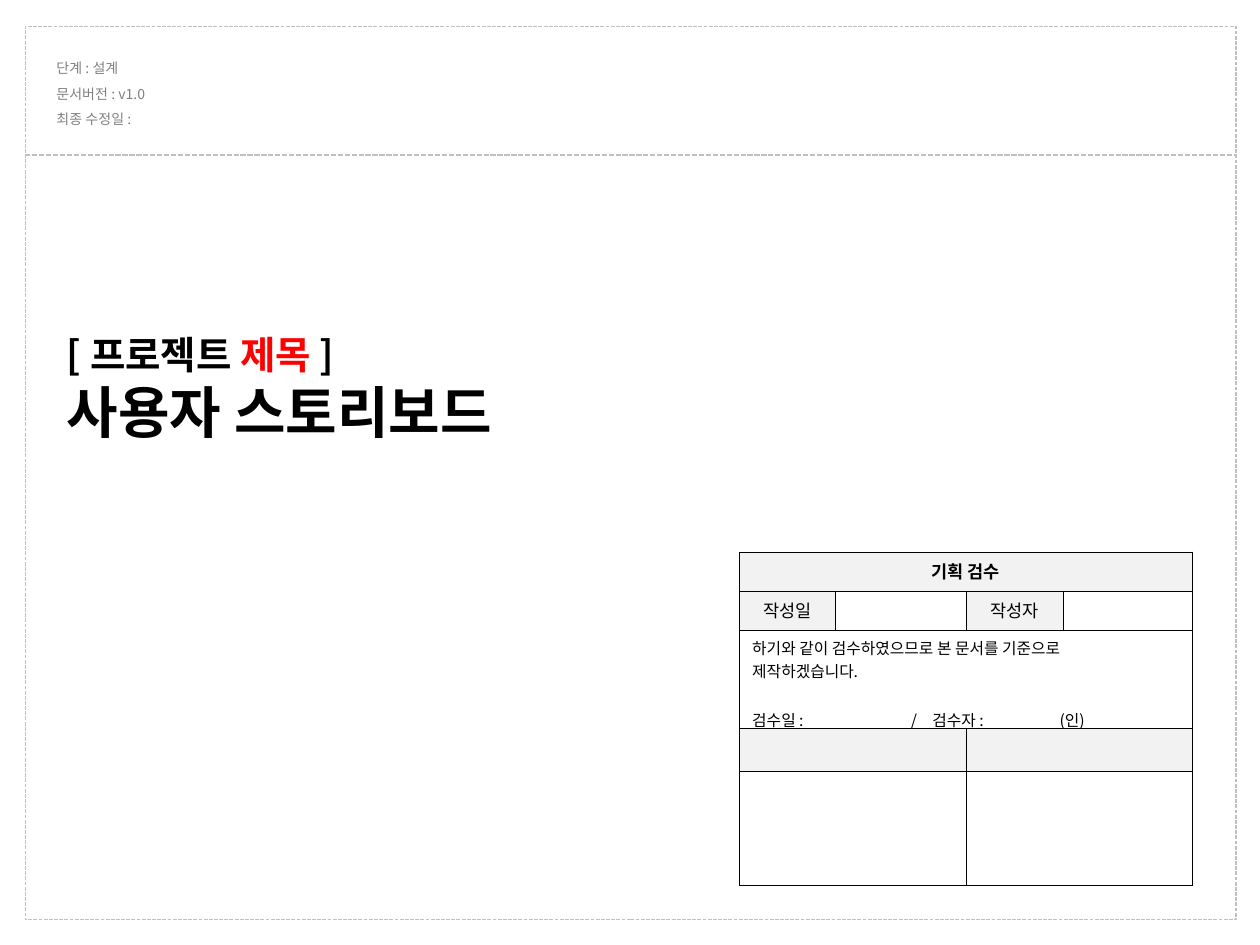
import pptx
import pptx.dml.color
import pptx.enum.dml
import pptx.enum.shapes
import pptx.enum.text
import pptx.oxml
import pptx.oxml.ns
import pptx.util
from lxml import etree

Inches = pptx.util.Inches
Pt = pptx.util.Pt
RGB = pptx.dml.color.RGBColor.from_string
qn = pptx.oxml.ns.qn
ALIGN = pptx.enum.text.PP_ALIGN
ANCHOR = pptx.enum.text.MSO_ANCHOR

THEME = {
    "font": "Noto Sans CJK KR",
    "ink": "000000", "accent": "FF0000", "muted": "808080",
    "frame": "C0C0C0", "divider": "BFBFBF",
    "label_fill": "F2F2F2", "cell_fill": "FFFFFF",
    "meta": 8, "note": 9, "label": 10, "project": 22, "heading": 32,
}


def add_run(paragraph, text, size, color="ink", bold=False):
    run = paragraph.add_run()
    run.text = text
    settings = {"size": Pt(THEME[size]), "bold": bold, "name": THEME["font"]}
    for name, value in settings.items():
        setattr(run.font, name, value)
    run.font.color.rgb = RGB(THEME[color])
    east_asian = etree.SubElement(run._r.get_or_add_rPr(), qn("a:ea"))
    east_asian.set("typeface", THEME["font"])


def set_borders(cell):
    properties = cell._tc.get_or_add_tcPr()
    for position, side in enumerate(("a:lnL", "a:lnR", "a:lnT", "a:lnB")):
        border = etree.Element(qn(side), w=str(Pt(0.25)))
        fill = etree.SubElement(border, qn("a:solidFill"))
        etree.SubElement(fill, qn("a:srgbClr"), val=THEME["ink"])
        properties.insert(position, border)


deck = pptx.Presentation()
deck.slide_width, deck.slide_height = Inches(10), Inches(7.5)
slide = deck.slides.add_slide(deck.slide_layouts[5])

# Dashed page frame and header divider
frame = slide.shapes.add_shape(
    pptx.enum.shapes.MSO_SHAPE.RECTANGLE,
    Inches(0.2), Inches(0.21), Inches(9.61), Inches(7.09))
frame.shadow.inherit = False
frame.fill.background()
divider = slide.shapes.add_connector(
    pptx.enum.shapes.MSO_CONNECTOR.STRAIGHT,
    Inches(0.2), Inches(1.23), Inches(9.8), Inches(1.23))
etree.SubElement(divider._element.spPr, qn("a:effectLst"))
for outline, color, width in ((frame.line, "frame", 0.75),
                              (divider.line, "divider", 1)):
    outline.color.rgb = RGB(THEME[color])
    outline.width = Pt(width)
    outline.dash_style = pptx.enum.dml.MSO_LINE.SQUARE_DOT
# The square-dot preset is written as sysDot; the rules here are sysDash
for shape in (frame, divider):
    for dash in shape._element.iter(qn("a:prstDash")):
        dash.set("val", "sysDash")

# Document details
details = slide.shapes.add_textbox(
    Inches(0.35), Inches(0.36), Inches(0.94), Inches(0.71)).text_frame
details.word_wrap = False
for i, line in enumerate(("단계 : 설계", "문서버전 : v1.0", "최종 수정일 :")):
    paragraph = details.add_paragraph() if i else details.paragraphs[0]
    paragraph.line_spacing = 1.5
    add_run(paragraph, line, "meta", "muted")

# Title
title = slide.shapes.title
for name, value in {"left": 0.43, "top": 2.58, "width": 3.95, "height": 1.01}.items():
    setattr(title, name, Inches(value))
heading = title.text_frame
for name, value in {"word_wrap": False, "vertical_anchor": ANCHOR.TOP,
                    "auto_size": pptx.enum.text.MSO_AUTO_SIZE.NONE}.items():
    setattr(heading, name, value)
project_line, document_line = heading.paragraphs[0], heading.add_paragraph()
for paragraph in (project_line, document_line):
    paragraph.alignment = ALIGN.LEFT
for text, color in (("[ 프로젝트 ", "ink"), ("제목 ", "accent"), ("]", "ink")):
    add_run(project_line, text, "project", color, bold=True)
add_run(document_line, "사용자 스토리보드", "heading", bold=True)

# Approval table
columns = (0.76, 1.04, 0.77, 1.02)
rows = (0.31, 0.31, 0.78, 0.34, 0.91)
approval = slide.shapes.add_table(
    len(rows), len(columns), Inches(5.87), Inches(4.38),
    Inches(sum(columns)), Inches(sum(rows))).table
approval.first_row = approval.horz_banding = False
for column, width in zip(approval.columns, columns):
    column.width = Inches(width)
for row, height in zip(approval.rows, rows):
    row.height = Inches(height)

label_cells = {(0, c) for c in range(4)} | {(1, 0), (1, 2)} | {(3, c) for c in range(4)}
for r in range(len(rows)):
    for c in range(len(columns)):
        cell = approval.cell(r, c)
        cell.fill.solid()
        cell.fill.fore_color.rgb = RGB(
            THEME["label_fill" if (r, c) in label_cells else "cell_fill"])
        cell.vertical_anchor = ANCHOR.MIDDLE
        set_borders(cell)

for r, first, last in ((0, 0, 3), (2, 0, 3), (3, 0, 1), (3, 2, 3), (4, 0, 1), (4, 2, 3)):
    approval.cell(r, first).merge(approval.cell(r, last))

for r, c, text in ((0, 0, "기획 검수"), (1, 0, "작성일"), (1, 2, "작성자")):
    paragraph = approval.cell(r, c).text_frame.paragraphs[0]
    paragraph.alignment = ALIGN.CENTER
    add_run(paragraph, text, "label", bold=r == 0)

statement = approval.cell(2, 0).text_frame
for i, line in enumerate(("하기와 같이 검수하였으므로 본 문서를 기준으로",
                          "제작하겠습니다.",
                          "검수일 :\t/\t검수자 :\t(인)")):
    paragraph = statement.add_paragraph() if i else statement.paragraphs[0]
    add_run(paragraph, line, "note")
signature = statement.paragraphs[-1]
signature.space_before = Pt(15)
tabs = etree.SubElement(signature._p.get_or_add_pPr(), qn("a:tabLst"))
for stop in (1.26, 1.43, 2.44):
    etree.SubElement(tabs, qn("a:tab"), pos=str(Inches(stop)), algn="l")

# Cells left for handwriting keep a small line height
for cell in approval.iter_cells():
    if not cell.text_frame.text:
        etree.SubElement(cell.text_frame.paragraphs[0]._p, qn("a:endParaRPr"),
                         sz=str(THEME["label"] * 100))

deck.save("out.pptx")
